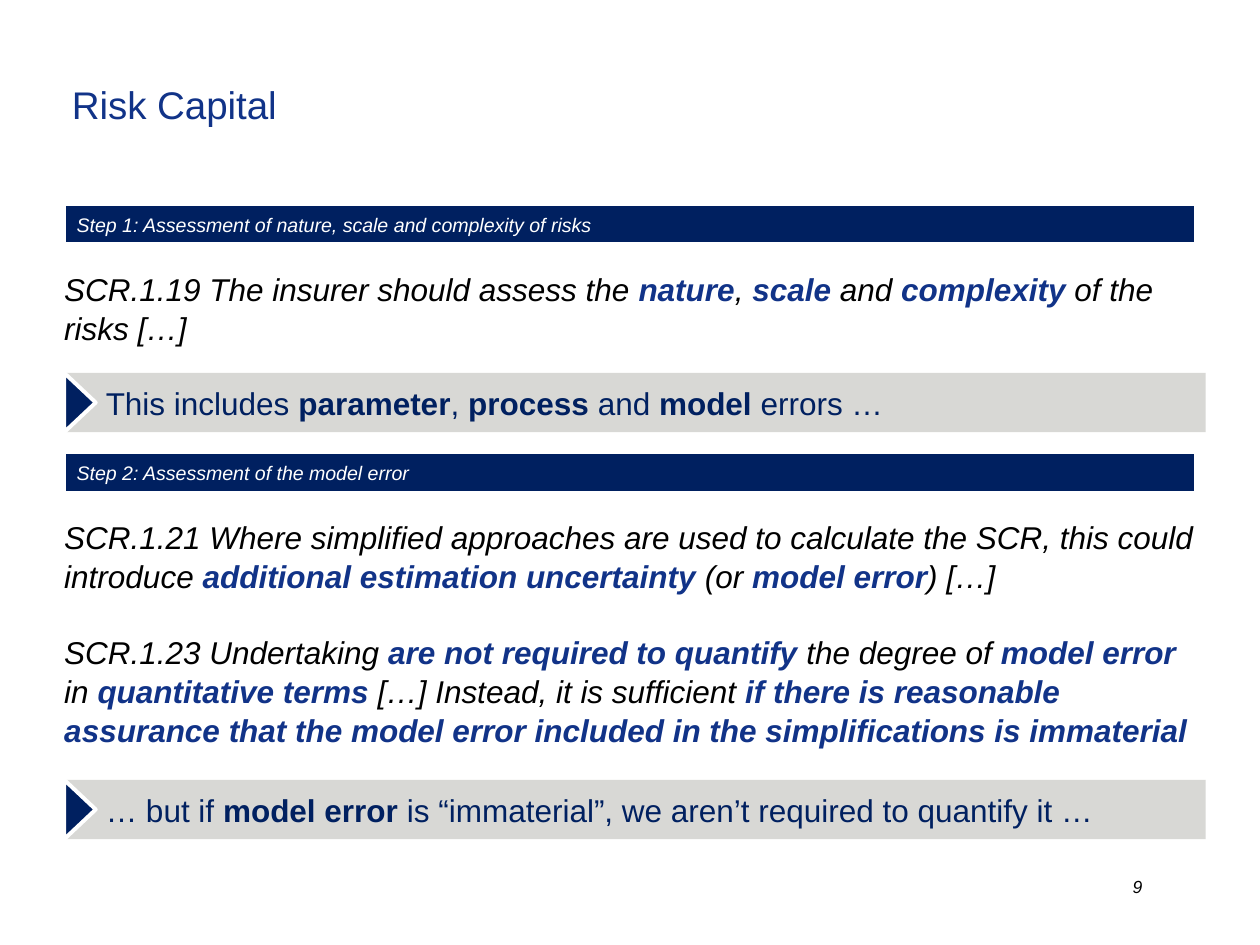
from dataclasses import dataclass

from pptx import Presentation
from pptx.dml.color import RGBColor
from pptx.enum.shapes import MSO_SHAPE
from pptx.enum.text import MSO_ANCHOR, PP_ALIGN
from pptx.util import Inches, Pt

RECTANGLE = MSO_SHAPE.RECTANGLE
TRIANGLE = MSO_SHAPE.ISOSCELES_TRIANGLE
MIDDLE = MSO_ANCHOR.MIDDLE
LEFT = PP_ALIGN.LEFT

SLIDE_WIDTH, SLIDE_HEIGHT = Inches(10), Inches(7.5)
MARGIN = 5.1
TEXT_WIDTH = 89.8


@dataclass(frozen=True)
class Theme:
    """Colours, type sizes and line settings of the slide."""

    font: str = "Arial"
    navy: RGBColor = RGBColor(0x00, 0x20, 0x60)
    blue: RGBColor = RGBColor(0x11, 0x33, 0x88)
    grey: RGBColor = RGBColor(0xD8, 0xD8, 0xD5)
    black: RGBColor = RGBColor(0x00, 0x00, 0x00)
    white: RGBColor = RGBColor(0xFF, 0xFF, 0xFF)
    title_size: float = 22
    body_size: float = 18
    heading_size: float = 11.2
    number_size: float = 10
    outline: float = 2.25
    line_spacing: float = 1.04


THEME = Theme()


def across(percent):
    """Return a share of the slide's width."""
    return round(SLIDE_WIDTH * percent / 100)


def down(percent):
    """Return a share of the slide's height."""
    return round(SLIDE_HEIGHT * percent / 100)


def write(shape, text, size, color, italic=False, emphasis=None, insets=(0, 0)):
    """Fill a shape with one paragraph in which *starred* words are bold."""
    frame = shape.text_frame
    frame.word_wrap = True
    frame.margin_left = frame.margin_right = Inches(insets[0])
    frame.margin_top = frame.margin_bottom = Inches(insets[1])
    paragraph = frame.paragraphs[0]
    paragraph.alignment = LEFT
    paragraph.font.name = THEME.font
    paragraph.font.size = Pt(size)
    paragraph.font.italic = italic
    paragraph.font.color.rgb = color
    for index, part in enumerate(text.split("*")):
        run = paragraph.add_run()
        run.text = part
        if index % 2:
            run.font.bold = True
            run.font.color.rgb = emphasis or color
    return paragraph


def add_text(slide, left, top, width, height, text, size, color, **style):
    """Add a text box placed in percent of the slide."""
    box = slide.shapes.add_textbox(across(left), down(top), across(width), down(height))
    return write(box, text, size, color, **style)


def add_quote(slide, top, lines, text):
    """Add an italic regulation quote with blue key words."""
    paragraph = add_text(slide, MARGIN, top, TEXT_WIDTH, 4 * lines, text,
                         THEME.body_size, THEME.black, italic=True, emphasis=THEME.blue)
    paragraph.line_spacing = THEME.line_spacing
    paragraph.space_after = Pt(6.8)


def add_block(slide, kind, left, top, width, height, fill, outlined):
    """Add a filled preset shape with or without a white outline."""
    block = slide.shapes.add_shape(kind, across(left), down(top), across(width), down(height))
    block.shadow.inherit = False
    block.fill.solid()
    block.fill.fore_color.rgb = fill
    if outlined:
        block.line.color.rgb = THEME.white
        block.line.width = Pt(THEME.outline)
    else:
        block.line.fill.background()
    block.text_frame.vertical_anchor = MIDDLE
    return block


def add_heading(slide, top, text):
    """Add a navy step heading across the text width."""
    bar = add_block(slide, RECTANGLE, MARGIN, top, TEXT_WIDTH, 4.27, THEME.navy, True)
    write(bar, text, THEME.heading_size, THEME.white, italic=True, insets=(0.1, 0.05))


def add_conclusion(slide, top, text):
    """Add a grey conclusion bar with a navy arrow at its left end."""
    bar = add_block(slide, RECTANGLE, MARGIN, top, 90.6, 6.27, THEME.grey, False)
    write(bar, text, THEME.body_size, THEME.navy, insets=(0.1, 0.05))
    bar.text_frame.margin_left = Inches(0.33)
    arrow = add_block(slide, TRIANGLE, 4, top + 1.47, 4.7, 3.33, THEME.navy, True)
    arrow.rotation = 90


def main():
    """Build the slide and save it."""
    presentation = Presentation()
    presentation.slide_width, presentation.slide_height = SLIDE_WIDTH, SLIDE_HEIGHT
    slide = presentation.slides.add_slide(presentation.slide_layouts[6])

    add_text(slide, 88.9, 92, 8.3, 3.6, "9", THEME.number_size, THEME.black,
             italic=True, insets=(0.1, 0.05))
    title = add_text(slide, 5.7, 8.4, 78.1, 4.93, "Risk Capital",
                     THEME.title_size, THEME.blue)
    title.line_spacing = THEME.line_spacing

    add_quote(slide, 28.4, 2,
              "SCR.1.19 The insurer should assess the *nature*, *scale* and *complexity* "
              "of the risks […]")
    add_quote(slide, 54.67, 2,
              "SCR.1.21 Where simplified approaches are used to calculate the SCR, this could "
              "introduce *additional estimation uncertainty* (or *model error*) […]")
    add_quote(slide, 66.8, 3,
              "SCR.1.23 Undertaking *are not required to quantify* the degree of *model error* "
              "in *quantitative terms* […] Instead, it is sufficient *if there is reasonable "
              "assurance that the model error included in the simplifications is immaterial*")

    add_heading(slide, 21.6, "Step 1: Assessment of nature, scale and complexity of risks")
    add_heading(slide, 47.87, "Step 2: Assessment of the model error")

    add_conclusion(slide, 39.47,
                   "This includes *parameter*, *process* and *model* errors …")
    add_conclusion(slide, 82.53,
                   "… but if *model error* is “immaterial”, we aren’t required to quantify it …")

    presentation.save("out.pptx")


if __name__ == "__main__":
    main()
